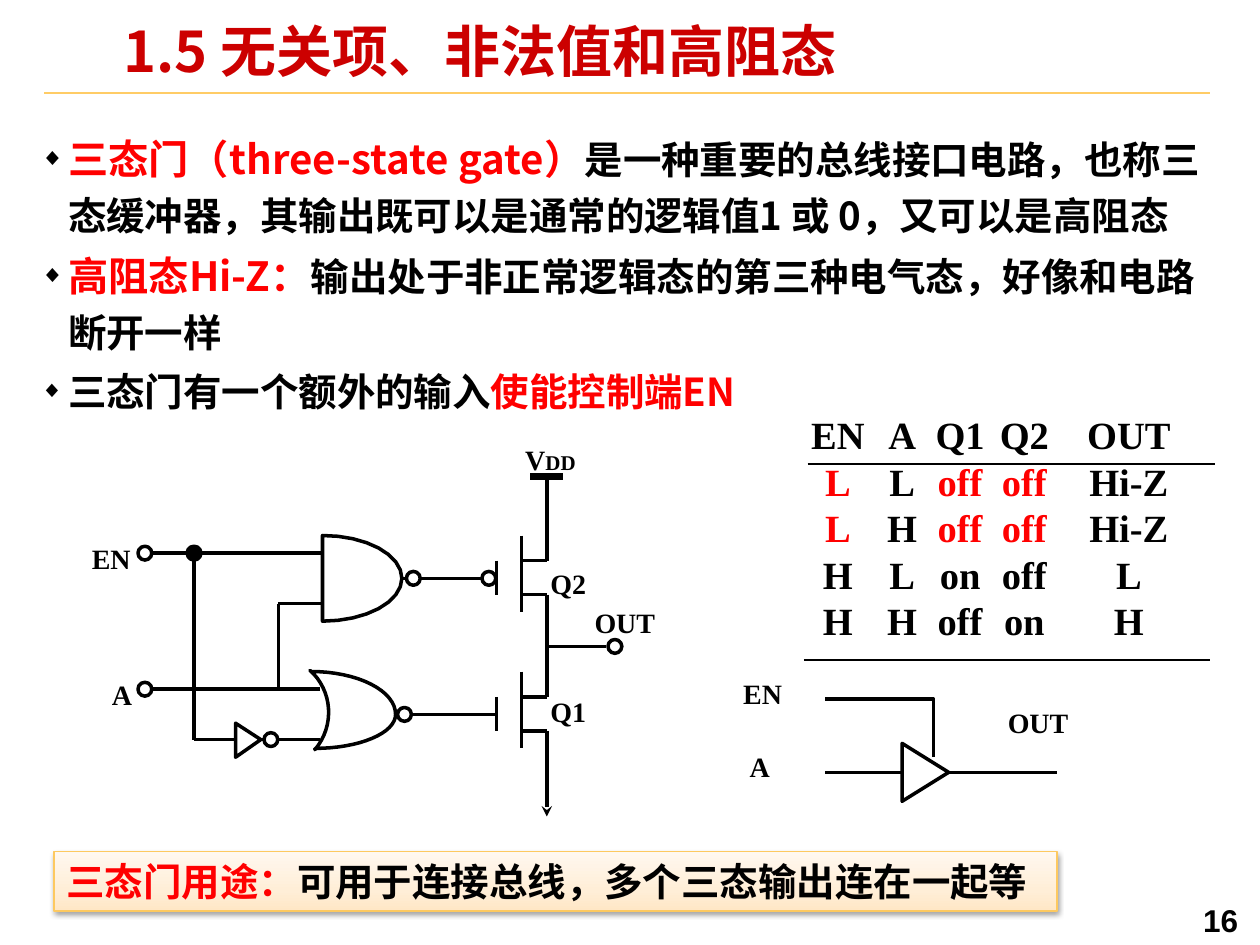
import copy
import math

import pptx
import pptx.util
import pptx.dml.color
import pptx.enum.shapes
import pptx.enum.text
import pptx.oxml
import pptx.oxml.ns
from pptx.util import Inches

C = {"black": "000000", "white": "FFFFFF", "red": "FF0000", "title": "CC0000",
     "rule": "FFCC66", "edge": "FDC960"}
GRAD = [(0, "FFE7C6"), (0.35, "FFEED7"), (1, "FFF8F0")]
HAN, SERIF = "Noto Sans CJK SC", "Times New Roman"
SHAPE = pptx.enum.shapes.MSO_SHAPE
ALIGN = pptx.enum.text.PP_ALIGN
MIDDLE = pptx.enum.text.MSO_ANCHOR.MIDDLE


def rgb(hue):
    return pptx.dml.color.RGBColor.from_string(hue)


def xml(tag, rest):
    return pptx.oxml.parse_xml(f"<a:{tag} {pptx.oxml.ns.nsdecls('a')}{rest}")


def write(para, parts, font):
    """Fill a paragraph with bold runs given as (text, size, colour)."""
    for text, size, hue in parts:
        run = para.add_run()
        run.text = text
        run.font.name, run.font.size, run.font.bold = font, pptx.util.Pt(size), True
        run.font.color.rgb = rgb(C[hue])
        run._r.get_or_add_rPr().find(pptx.oxml.ns.qn("a:latin")).addnext(
            xml("ea", f' typeface="{font}"/>'))


def place(shape, box):
    shape.left, shape.top, shape.width, shape.height = map(Inches, box)


def inset(frame, side, top):
    frame.margin_left = frame.margin_right = Inches(side)
    frame.margin_top = frame.margin_bottom = Inches(top)
    frame.auto_size = pptx.enum.text.MSO_AUTO_SIZE.NONE
    frame.word_wrap = True


class Pen:
    """Draws parts at inch offsets from the corner of a region."""

    def __init__(self, slide, x, y):
        self.shapes, self.x, self.y = slide.shapes, x, y

    def line(self, x1, y1, x2, y2, width=2, hue="black", arrow=False):
        ends = (self.x + x1, self.y + y1, self.x + x2, self.y + y2)
        link = self.shapes.add_connector(
            pptx.enum.shapes.MSO_CONNECTOR.STRAIGHT, *map(Inches, ends))
        link.line.color.rgb, link.line.width = rgb(C[hue]), pptx.util.Pt(width)
        if arrow:
            link.line._get_or_add_ln().append(xml("tailEnd", ' type="stealth"/>'))
        link._element.spPr.append(xml("effectLst", "/>"))

    def outline(self, points, close=True):
        spots = [(Inches(x), Inches(y)) for x, y in points]
        trace = self.shapes.build_freeform(*spots[0])
        trace.add_line_segments(spots[1:], close=close)
        shape = trace.convert_to_shape(Inches(self.x), Inches(self.y))
        shape.shadow.inherit = False
        shape.fill.background()
        shape.line.color.rgb, shape.line.width = rgb(C["black"]), pptx.util.Pt(2)

    def ring(self, x, y, fill="white", size=0.11):
        dot = self.shapes.add_shape(SHAPE.OVAL, 0, 0, 0, 0)
        place(dot, (self.x + x - size / 2, self.y + y - size / 2, size, size))
        dot.shadow.inherit = False
        dot.fill.solid()
        dot.fill.fore_color.rgb = rgb(C[fill])
        dot.line.color.rgb, dot.line.width = rgb(C["black"]), pptx.util.Pt(2)

    def label(self, x, y, *parts, font=SERIF, width=0.82, height=0.3):
        box = self.shapes.add_textbox(0, 0, 0, 0)
        place(box, (self.x + x, self.y + y, width, height))
        inset(box.text_frame, 0.1, 0.05)
        write(box.text_frame.paragraphs[0], [(t, s, "black") for t, s in parts], font)


def arc(x, y, rx, ry, start, end, steps=16):
    """Points on an ellipse, angles in degrees clockwise from the right."""
    turns = [math.radians(start + (end - start) * i / steps) for i in range(steps + 1)]
    return [(x + rx * math.cos(t), y + ry * math.sin(t)) for t in turns]


def curve(a, b, c, d, steps=16):
    """Points on a cubic Bezier curve."""
    return [tuple((1 - t) ** 3 * p + 3 * t * (1 - t) ** 2 * q
                  + 3 * t * t * (1 - t) * r + t ** 3 * s
                  for p, q, r, s in zip(a, b, c, d))
            for t in (i / steps for i in range(steps + 1))]


def head(slide, box):
    title = slide.shapes.title
    place(title, box)
    frame = title.text_frame
    inset(frame, 0.07, 0.03)
    frame.vertical_anchor = MIDDLE
    para = frame.paragraphs[0]
    para.alignment, para.line_spacing = ALIGN.LEFT, 0.87
    write(para, [("1.5 无关项、非法值和高阻态", 32, "title")], HAN)
    Pen(slide, 0.35, 0.74).line(0, 0, 9.25, 0, 1, "rule")


def notes(slide, box):
    items = [
        [("三态门（three-state gate）", 23, "red"),
         ("是一种重要的总线接口电路，也称三态缓冲器，其输出既可以是通常的逻辑值1 或 0，又可以是高阻态",
          22, "black")],
        [("高阻态Hi-Z：", 23, "red"),
         ("输出处于非正常逻辑态的第三种电气态，好像和电路断开一样", 22, "black")],
        [("三态门有一个额外的输入", 22, "black"), ("使能控制端EN", 22, "red")]]
    body = slide.placeholders[1]
    place(body, box)
    frame = body.text_frame
    inset(frame, 0.07, 0.03)
    for i, parts in enumerate(items):
        para = frame.add_paragraph() if i else frame.paragraphs[0]
        write(para, parts, HAN)
        para.line_spacing, para.space_before = 1.2, pptx.util.Pt(2)
        props = para._p.get_or_add_pPr()
        props.set("marL", str(Inches(0.22)))
        props.set("indent", str(Inches(-0.22)))
        props.append(xml("buClr", f'><a:srgbClr val="{C["black"]}"/></a:buClr>'))
        props.append(xml("buSzPct", ' val="60000"/>'))
        props.append(xml("buChar", ' char="◆"/>'))


def fet(pen, x, y):
    for ends in [(0, 0.2, 0, 0.47), (0.2, 0, 0.2, 0.61),
                 (0.2, 0.2, 0.4, 0.2), (0.2, 0.47, 0.4, 0.47)]:
        pen.line(x + ends[0], y + ends[1], x + ends[2], y + ends[3])


def circuit(slide, x, y):
    pen = Pen(slide, x, y)
    for ends in [(3.74, 0.38, 3.74, 1.05), (3.74, 1.32, 3.74, 2.13),
                 (3.74, 1.73, 4.21, 1.73), (0.61, 0.99, 1.96, 0.99),
                 (0.94, 0.99, 0.94, 2.47), (0.94, 2.47, 1.27, 2.47),
                 (1.47, 2.47, 1.94, 2.47), (0.61, 2.07, 1.94, 2.07),
                 (1.61, 2.07, 1.61, 1.39), (1.61, 1.39, 1.96, 1.39),
                 (2.59, 1.19, 3.34, 1.19), (2.54, 2.27, 3.34, 2.27)]:
        pen.line(*ends)
    pen.line(3.61, 0.38, 3.87, 0.38, width=4)
    pen.line(3.74, 2.4, 3.74, 3.08, arrow=True)
    for top in (0.85, 1.93):
        fet(pen, 3.34, top)
    pen.outline(arc(1.96, 1.19, 0.63, 0.34, -90, 90))
    pen.outline(arc(1.87, 2.27, 0.67, 0.34, -90, 0)
                + arc(1.9, 2.27, 0.64, 0.27, 0, 90)
                + curve((1.9, 2.55), (2.06, 2.36), (2.04, 2.08), (1.86, 1.92)))
    pen.outline([(1.27, 2.34), (1.47, 2.47), (1.27, 2.61)])
    for spot in [(0.55, 0.99), (0.55, 2.07), (1.55, 2.47), (2.61, 2.27),
                 (2.68, 1.19), (3.28, 1.19), (4.28, 1.73)]:
        pen.ring(*spot)
    pen.ring(0.94, 0.99, "black")
    for text, left, top in [("EN", 0.03, 0.85), ("A", 0.19, 1.93), ("Q2", 3.67, 1.05),
                            ("Q1", 3.67, 2.06), ("OUT", 4.02, 1.36)]:
        pen.label(left, top, (text, 16))
    pen.label(3.47, 0.06, ("V", 16), ("DD", 12))


def buffer(slide, x, y):
    pen = Pen(slide, x, y)
    pen.outline([(1.36, 0.58), (1.73, 0.81), (1.36, 1.04)])
    pen.line(0.75, 0.81, 1.36, 0.81)
    pen.line(1.73, 0.81, 2.59, 0.81)
    pen.outline([(1.61, 0.69), (1.61, 0.23), (0.75, 0.23)], close=False)
    for text, left, top in [("EN", 0, 0), ("A", 0.05, 0.58), ("OUT", 2.1, 0.23)]:
        pen.label(left, top, (text, 16), width=0.99)


def truth(slide, x, y):
    rows = ["EN A Q1 Q2 OUT", "L L off off Hi-Z", "L H off off Hi-Z",
            "H L on off L", "H H off on H"]
    wide, tall = [0.54, 0.48, 0.44, 0.58, 1.08], 0.37
    table = slide.shapes.add_table(len(rows), len(wide), Inches(x), Inches(y),
                                   Inches(sum(wide)), Inches(tall * len(rows))).table
    table.first_row = table.horz_banding = False
    for col, width in zip(table.columns, wide):
        col.width = Inches(width)
    for r, row in enumerate(rows):
        for c, text in enumerate(row.split()):
            cell = table.cell(r, c)
            cell.fill.background()
            cell.margin_left = cell.margin_right = 0
            cell.margin_top = cell.margin_bottom = 0
            cell.vertical_anchor = MIDDLE
            para = cell.text_frame.paragraphs[0]
            para.alignment = ALIGN.CENTER
            hue = "red" if r in (1, 2) and c in (0, 2, 3) else "black"
            write(para, [(text, 22, hue)], SERIF)
    pen = Pen(slide, x, y)
    pen.line(0.03, 0.4, 3.26, 0.4, 1)
    pen.line(0, 1.96, 3.22, 1.96, 1)


def banner(slide, box):
    bar = slide.shapes.add_shape(SHAPE.RECTANGLE, *map(Inches, box))
    bar.fill.gradient()
    bar.fill.gradient_angle = 90
    stops = bar.fill._fill._gradFill.gsLst
    stops.insert(1, copy.deepcopy(stops[0]))
    for stop, (spot, hue) in zip(bar.fill.gradient_stops, GRAD):
        stop.position, stop.color.rgb = spot, rgb(hue)
    bar.line.color.rgb, bar.line.width = rgb(C["edge"]), pptx.util.Pt(0.75)
    bar._element.spPr.append(xml("effectLst", (
        f'><a:outerShdw blurRad="{pptx.util.Pt(3.1)}" dist="{pptx.util.Pt(1.6)}" dir="5400000" '
        f'rotWithShape="0"><a:srgbClr val="{C["black"]}"><a:alpha val="38000"/>'
        '</a:srgbClr></a:outerShdw></a:effectLst>')))
    inset(bar.text_frame, 0.1, 0.05)
    bar.text_frame.vertical_anchor = MIDDLE
    para = bar.text_frame.paragraphs[0]
    para.alignment = ALIGN.LEFT
    write(para, [("三态门用途：", 22, "red"),
                 ("可用于连接总线，多个三态输出连在一起等", 22, "black")], HAN)


def main():
    deck = pptx.Presentation()
    deck.slide_width, deck.slide_height = Inches(10), Inches(7.5)
    slide = deck.slides.add_slide(deck.slide_layouts[1])
    head(slide, (0.91, 0.18, 6.64, 0.52))
    notes(slide, (0.25, 0.96, 9.5, 2.39))
    circuit(slide, 0.6, 3.4)
    buffer(slide, 5.8, 5.32)
    truth(slide, 6.38, 3.28)
    banner(slide, (0.43, 6.76, 7.96, 0.47))
    Pen(slide, 9.45, 7.1).label(0, 0, ("16", 18), font="Arial", width=0.55, height=0.36)
    deck.save("out.pptx")


if __name__ == "__main__":
    main()
